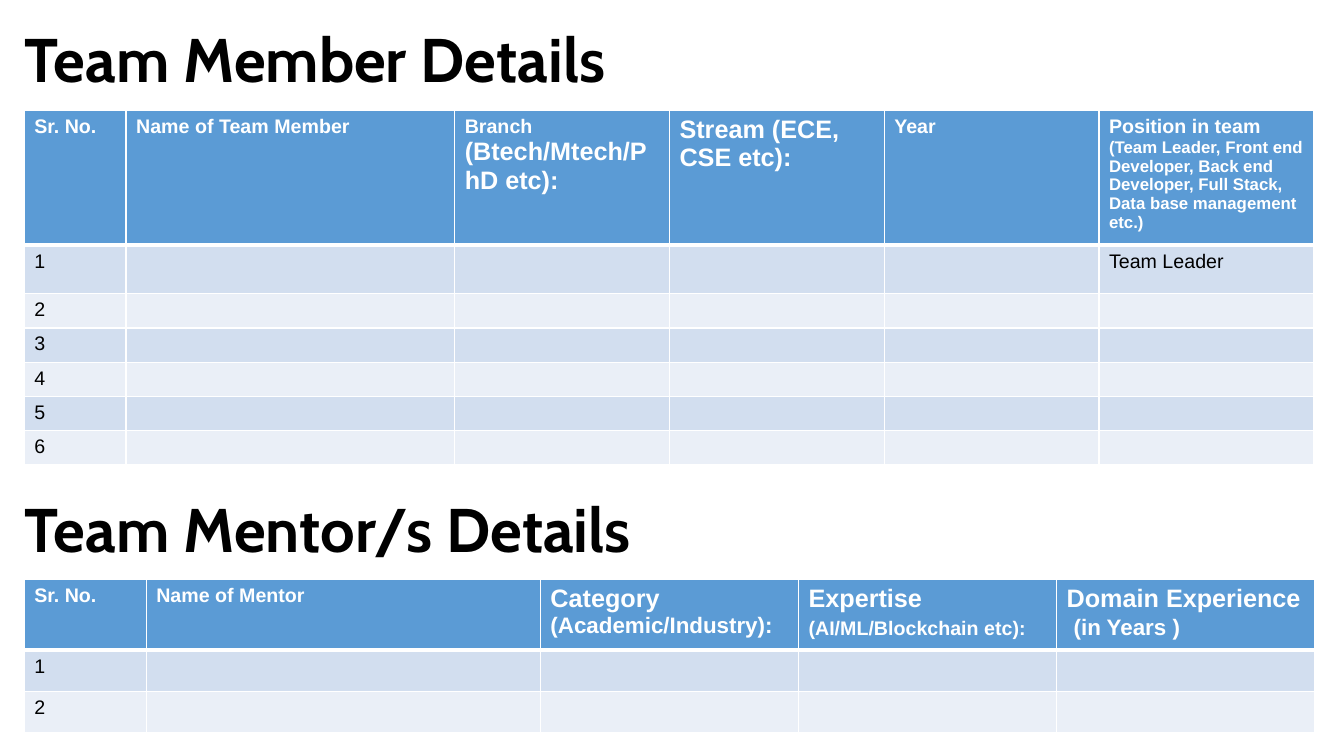
from lxml.etree import SubElement
from pptx import Presentation
from pptx.dml.color import RGBColor
from pptx.enum.text import MSO_ANCHOR
from pptx.oxml.ns import qn
from pptx.util import Inches, Pt

# Content: header cells are lists of (text, size)
LEFT = 0.24
TITLES = [("Team Member Details", 0.28), ("Team Mentor/s Details", 4.94)]
MEMBERS = {
    "top": 1.1,
    "cols": [1.01, 3.26] + [2.13] * 4,
    "rows": [1.25, 0.48] + [0.34] * 5,
    "header": [
        [("Sr. No.", 14)],
        [("Name of Team Member", 14)],
        [("Branch ", 14), ("(Btech/Mtech/PhD etc):", 18)],
        [("Stream (ECE, CSE etc):", 18)],
        [("Year", 14)],
        [("Position in team ", 14),
         ("(Team Leader, Front end Developer, Back end Developer, "
          "Full Stack, Data base management etc.)", 12)],
    ],
    "body": {(1, 5): "Team Leader"},
}
MENTORS = {
    "top": 5.75,
    "cols": [1.21, 3.91] + [2.56] * 3,
    "rows": [0.65, 0.41, 0.41],
    "header": [
        [("Sr. No.", 14)],
        [("Name of Mentor", 14)],
        [("Category ", 18), ("(Academic/Industry):", 16)],
        [("Expertise ", 18), ("(AI/ML/Blockchain etc):", 14), (" ", 18)],
        [("Domain Experience  ", 18), ("(in Years )", 16)],
    ],
    "body": {},
}
HEADER_FILL, BANDS = "5B9BD5", ["EAEFF7", "D2DEEF"]
WHITE, BLACK = "FFFFFF", "000000"


def rgb(value):
    return RGBColor.from_string(value)


def add_run(p, text, size, name, color, bold):
    r = p.add_run()
    r.text = text
    formats = {"size": Pt(size), "name": name, "bold": bold}
    for key, value in formats.items():
        setattr(r.font, key, value)
    r.font.color.rgb = rgb(color)


def set_borders(cell, bottom, top):
    tc_pr = cell._tc.get_or_add_tcPr()
    widths = {"lnL": 1, "lnR": 1, "lnT": top, "lnB": bottom}
    for i, (tag, width) in enumerate(widths.items()):
        ln = tc_pr.makeelement(qn("a:" + tag), {"w": str(Pt(width))})
        fill = SubElement(ln, qn("a:solidFill"))
        SubElement(fill, qn("a:srgbClr"), val=WHITE)
        tc_pr.insert(i, ln)


def add_title(slide, text, top):
    box = slide.shapes.add_textbox(
        Inches(LEFT), Inches(top), Inches(7.24), Inches(0.67))
    tf = box.text_frame
    formats = {"word_wrap": True, "vertical_anchor": MSO_ANCHOR.BOTTOM,
               "margin_left": 0, "margin_right": 0,
               "margin_top": 0, "margin_bottom": 0}
    for key, value in formats.items():
        setattr(tf, key, value)
    p = tf.paragraphs[0]
    p.line_spacing = 0.9
    add_run(p, text, 44, "Cabin", BLACK, True)


def add_details(slide, data):
    cols, rows = data["cols"], data["rows"]
    table = slide.shapes.add_table(
        len(rows), len(cols), Inches(LEFT), Inches(data["top"]),
        Inches(sum(cols)), Inches(sum(rows))).table
    for column, width in zip(table.columns, cols):
        column.width = Inches(width)
    for i, height in enumerate(rows):
        table.rows[i].height = Inches(height)
        for j in range(len(cols)):
            cell = table.cell(i, j)
            p = cell.text_frame.paragraphs[0]
            if i == 0:
                runs, fill, color = data["header"][j], HEADER_FILL, WHITE
            else:
                text = str(i) if j == 0 else data["body"].get((i, j), "")
                runs = [(text, 14)] if text else []
                fill, color = BANDS[i % 2], BLACK
            cell.fill.solid()
            cell.fill.fore_color.rgb = rgb(fill)
            set_borders(cell, 3 if i == 0 else 1, 3 if i == 1 else 1)
            for text, size in runs:
                add_run(p, text, size, "Arial", color, i == 0)
            if not runs:  # keeps empty rows as low as 14 pt text
                SubElement(p._p, qn("a:endParaRPr"), sz="1400")


prs = Presentation()
prs.slide_width, prs.slide_height = Inches(13.33), Inches(7.5)
s = prs.slides.add_slide(prs.slide_layouts[6])

# Headings and tables
for title, top in TITLES:
    add_title(s, title, top)
for details in (MEMBERS, MENTORS):
    add_details(s, details)

prs.save("out.pptx")
